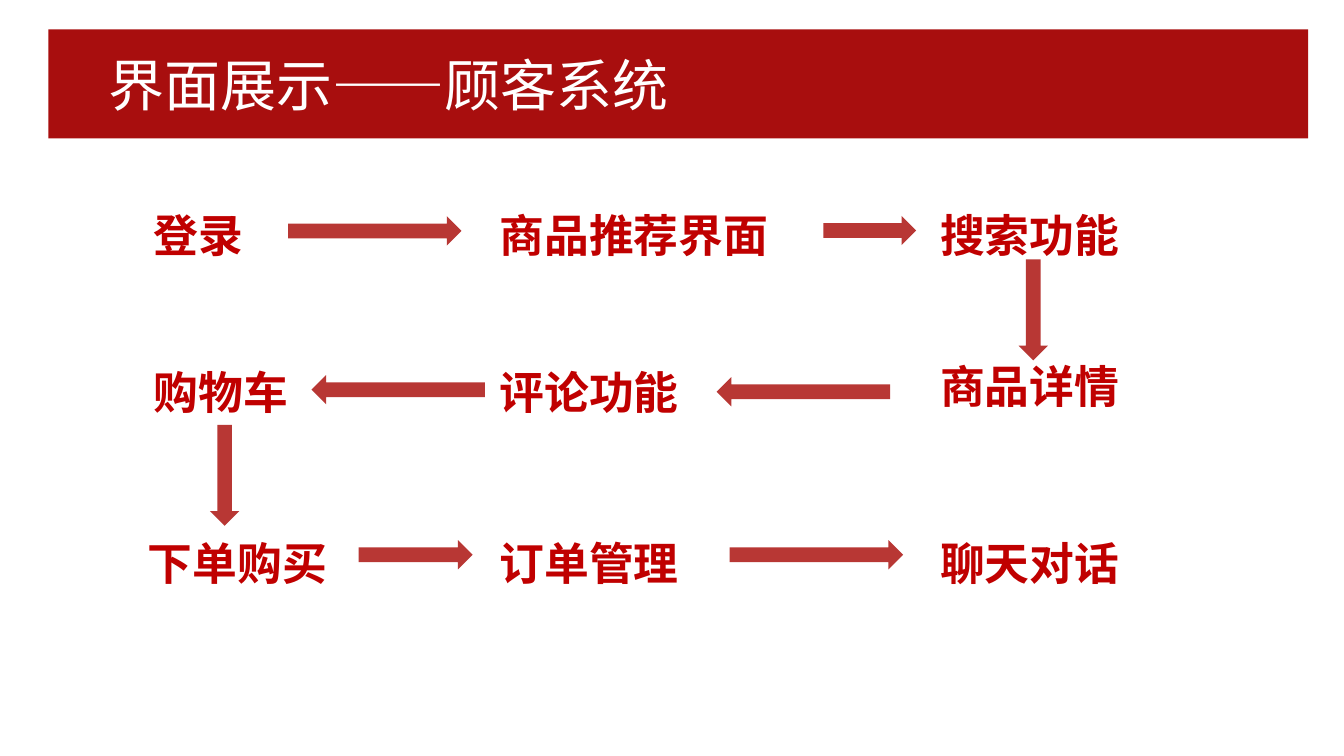
"""Build the customer system flow slide."""
from pptx import Presentation
from pptx.dml.color import RGBColor
from pptx.enum.shapes import MSO_SHAPE
from pptx.enum.text import MSO_ANCHOR, MSO_AUTO_SIZE, PP_ALIGN
from pptx.util import Cm, Pt


def paint(fill, color):
    fill.solid()
    fill.fore_color.rgb = RGBColor.from_string(color)


def write(frame, text, face, size, color, bold):
    frame.text = text
    frame.word_wrap = True
    para = frame.paragraphs[0]
    para.alignment = PP_ALIGN.LEFT
    font = para.runs[0].font
    font.name, font.size, font.bold = face, Pt(size), bold
    paint(font.fill, color)
    return para


deck = Presentation()
deck.slide_width, deck.slide_height = Cm(33.87), Cm(19.05)
slide = deck.slides.add_slide(deck.slide_layouts[5])

title = slide.shapes.title
title.left, title.top, title.width, title.height = Cm(1.22), Cm(0.74), Cm(31.75), Cm(2.75)
paint(title.fill, "A80E0E")
frame = title.text_frame
write(frame, "界面展示——顾客系统", "Arial Narrow", 40, "FFFFFF", False)
frame.auto_size = MSO_AUTO_SIZE.NONE
frame.vertical_anchor = MSO_ANCHOR.MIDDLE
frame.margin_left = Cm(1.52)

cols = (3.63, 12.34, 23.44)
rows = (4.7, 8.66, 12.98)
steps = (
    ("登录", "商品推荐界面", "搜索功能"),
    ("购物车", "评论功能", "商品详情"),
    ("下单购买", "订单管理", "聊天对话"),
)
nudges = {"商品详情": (0, -0.15), "下单购买": (-0.15, 0)}
for top, names in zip(rows, steps):
    for left, name in zip(cols, names):
        dx, dy = nudges.get(name, (0, 0))
        wide = 1.2 * len(name) + 0.9
        box = slide.shapes.add_textbox(Cm(left + dx), Cm(top + dy), Cm(wide), Cm(2.03))
        para = write(box.text_frame, name, "Roboto", 32, "C00000", True)
        para.line_spacing = 1.3

arrows = (
    (7.26, 5.45, 4.37, 0),
    (20.75, 5.44, 2.34, 0),
    (24.77, 7.44, 2.54, 90),
    (18.06, 9.5, 4.37, 180),
    (7.85, 9.45, 4.37, 180),
    (4.39, 11.61, 2.54, 90),
    (9.04, 13.61, 2.87, 0),
    (18.39, 13.61, 4.37, 0),
)
for left, top, wide, turn in arrows:
    arrow = slide.shapes.add_shape(
        MSO_SHAPE.RIGHT_ARROW, Cm(left), Cm(top), Cm(wide), Cm(0.74))
    arrow.rotation = turn
    arrow.shadow.inherit = False
    paint(arrow.fill, "B83734")
    arrow.line.fill.background()

deck.save("out.pptx")
